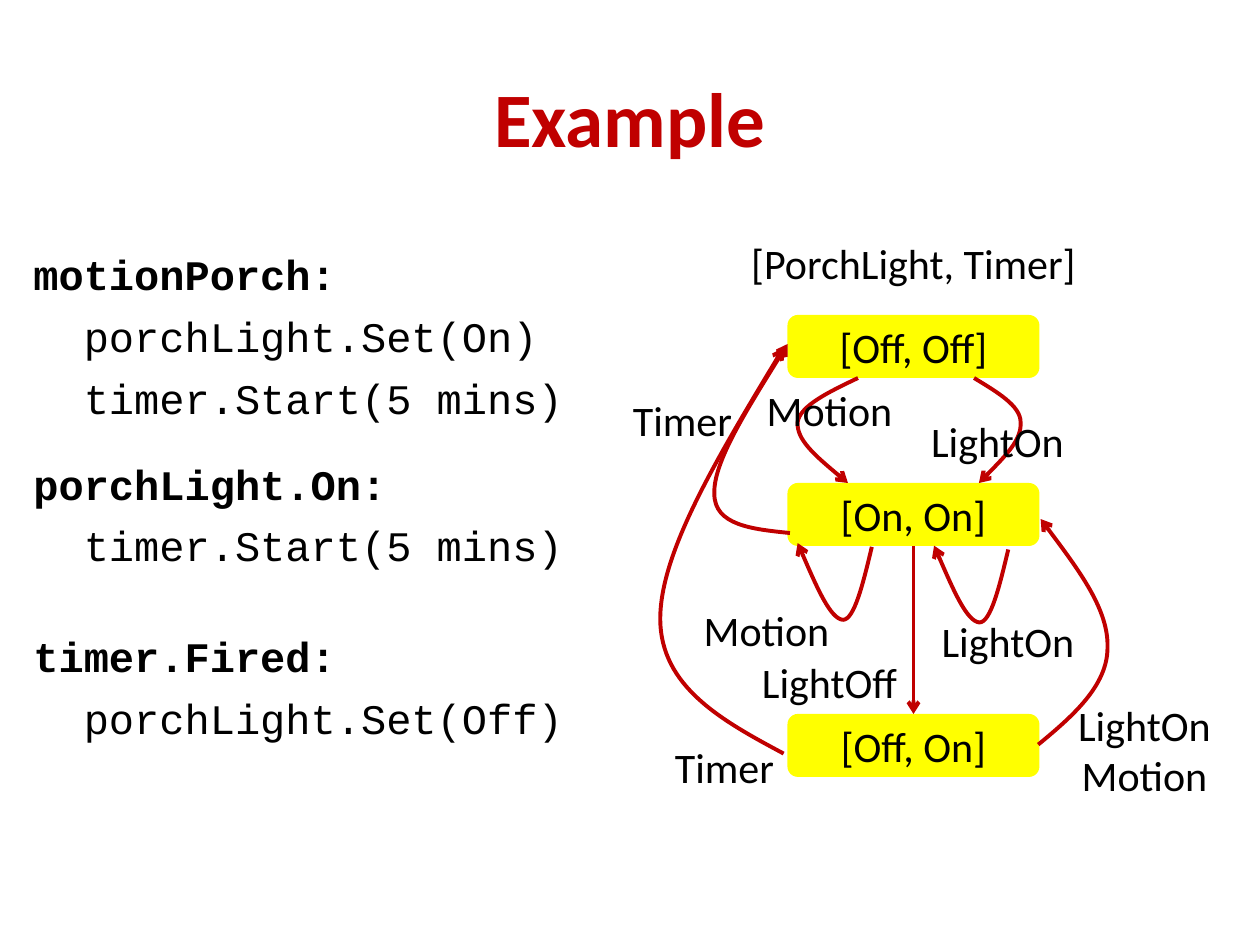
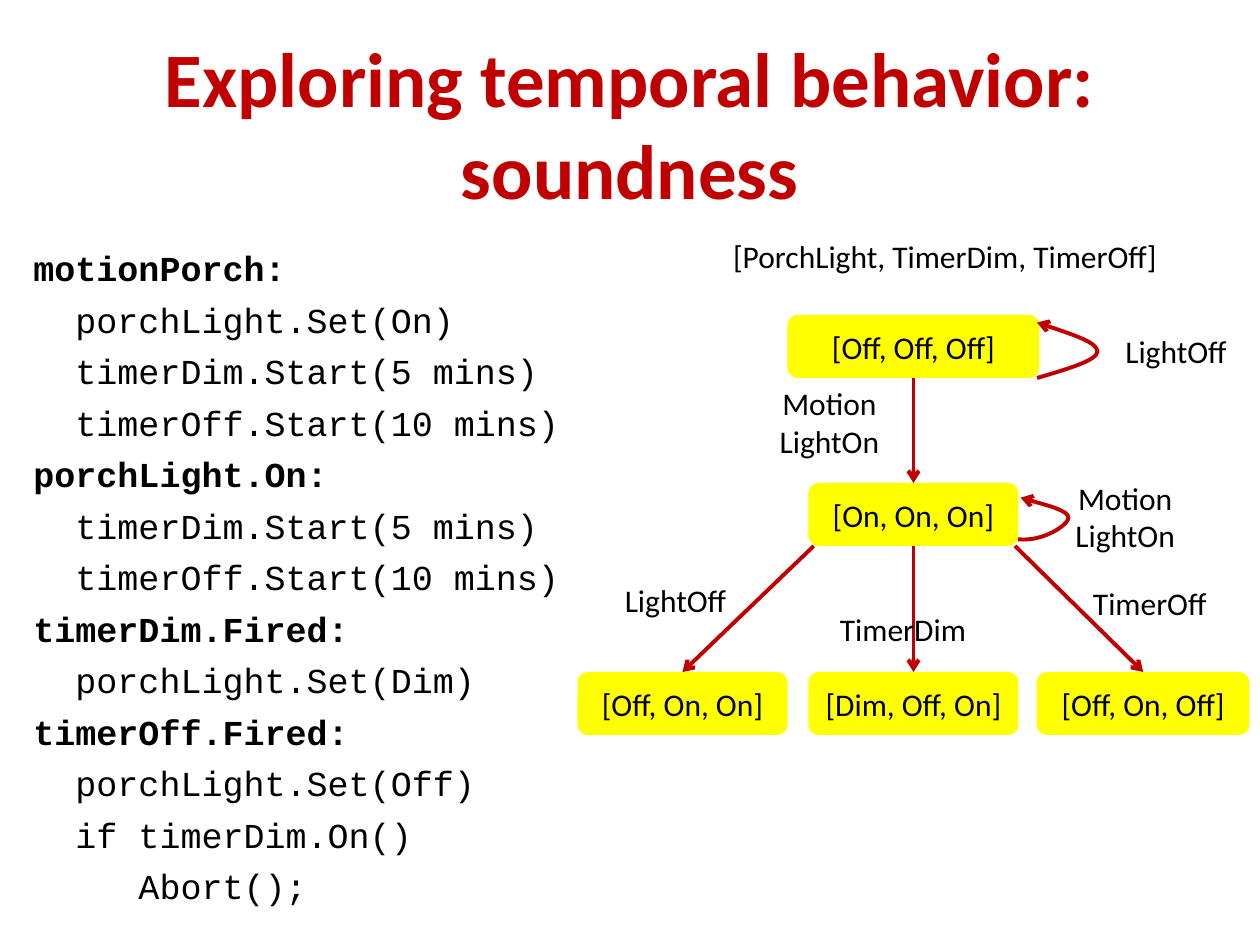
from pptx import Presentation
from pptx.dml.color import RGBColor
from pptx.enum.shapes import MSO_CONNECTOR as Connector, MSO_SHAPE as Shape
from pptx.enum.text import MSO_ANCHOR as Anchor, PP_ALIGN as Align
from pptx.oxml.ns import qn
from pptx.util import Pt
from lxml.etree import SubElement

RED = RGBColor(0xC0, 0x00, 0x00)
YELLOW = RGBColor(0xFF, 0xFF, 0x00)
BLACK = RGBColor(0x00, 0x00, 0x00)
BODY_FONT = "Calibri"
CODE_FONT = "Courier New"
BOTTOM, TOP = 2, 0  # connection sites
DIAGRAM_BOX = (324, 132)  # left, top


# Shared text and line styles
def add_run(paragraph, text, size, color=BLACK, font=BODY_FONT, bold=False):
    run = paragraph.add_run()
    run.text = text
    run.font.name = font
    run.font.size = Pt(size)
    run.font.bold = bold
    run.font.color.rgb = color


def add_text_box(slide, left, top, width, height):
    box = slide.shapes.add_textbox(Pt(left), Pt(top), Pt(width), Pt(height))
    box.text_frame.word_wrap = True
    return box.text_frame


def fill_lines(frame, lines, size, **style):
    """Write centred lines, one paragraph each."""
    for index, line in enumerate(lines):
        paragraph = frame.add_paragraph() if index else frame.paragraphs[0]
        paragraph.alignment = Align.CENTER
        add_run(paragraph, line, size, **style)


def style_arrow(shape):
    shape.line.color.rgb = RED
    shape.line.width = Pt(2.25)
    properties = shape.element.spPr
    SubElement(properties.find(qn("a:ln")), qn("a:tailEnd"), type="arrow")
    if properties.find(qn("a:effectLst")) is None:
        SubElement(properties, qn("a:effectLst"))


# Title and code column
def add_title(slide, text, height):
    frame = add_text_box(slide, 36, 21.6, 648, height)
    frame.vertical_anchor = Anchor.MIDDLE
    fill_lines(frame, [text], 44, color=RED, bold=True)


def add_code(slide, blocks, size, width):
    """Blocks are (gap above, handler name, statements)."""
    spacing = 0.27 * size
    frame = add_text_box(slide, 12, 132 + spacing, width, 380)
    paragraph = None
    for gap, handler, statements in blocks:
        for index, line in enumerate([handler, *statements]):
            if paragraph is None:
                paragraph = frame.paragraphs[0]
            else:
                paragraph = frame.add_paragraph()
                paragraph.space_before = Pt(spacing + (0 if index else gap))
            add_run(paragraph, line, size, font=CODE_FONT, bold=index == 0)


# State diagram parts, placed relative to a diagram box
class Diagram:
    def __init__(self, slide, box, size):
        self.slide = slide
        self.left, self.top = box
        self.size = size

    def place(self, x, y):
        return Pt(self.left + x), Pt(self.top + y)

    def state(self, text, x, y, width):
        shape = self.slide.shapes.add_shape(
            Shape.ROUNDED_RECTANGLE, *self.place(x, y), Pt(width), Pt(36))
        shape.shadow.inherit = False
        shape.fill.solid()
        shape.fill.fore_color.rgb = YELLOW
        shape.line.fill.background()
        frame = shape.text_frame
        frame.margin_left = frame.margin_right = 0
        frame.vertical_anchor = Anchor.MIDDLE
        fill_lines(frame, [text], self.size)
        return shape

    def label(self, x, y, *lines, width=108):
        frame = add_text_box(self.slide, self.left + x, self.top + y,
                             width, len(lines) * self.size * 1.2 + 7.2)
        fill_lines(frame, lines, self.size)

    def arrow(self, source, target, start=None):
        """Join two states; start replaces the middle of the source's side."""
        line = self.slide.shapes.add_connector(
            Connector.STRAIGHT, *self.place(*(start or (0, 0))), *self.place(0, 0))
        if start is None:
            line.begin_connect(source, BOTTOM)
        line.end_connect(target, TOP)
        style_arrow(line)

    def curve(self, *points):
        """Draw a Bezier arrow: a start, then two controls and an end per piece."""
        start, *rest = [self.place(*point) for point in points]
        builder = self.slide.shapes.build_freeform(*start)
        builder.add_line_segments(rest, close=False)
        shape = builder.convert_to_shape()
        shape.shadow.inherit = False
        shape.fill.background()
        style_arrow(shape)
        segments = list(shape.element.iter(qn("a:lnTo")))
        outline = segments[0].getparent()
        for index in range(0, len(segments), 3):
            piece = SubElement(outline, qn("a:cubicBezTo"))
            for segment in segments[index:index + 3]:
                piece.append(segment[0])
                outline.remove(segment)


def add_two_part_diagram(slide, box):
    diagram = Diagram(slide, box, 24)
    diagram.label(60, 0, "[PorchLight, Timer]", width=276)
    diagram.state("[Off, Off]", 126, 48, 144)
    both_on = diagram.state("[On, On]", 126, 144, 144)
    timer_on = diagram.state("[Off, On]", 126, 276, 144)

    # From all off to all on
    diagram.curve((166.3, 84), (149.8, 91.9), (133.2, 99.8), (131.8, 109.2),
                  (131, 119.3), (145.4, 131.5), (160.6, 144))
    diagram.curve((232.6, 84), (245.5, 91.9), (259.2, 99.8), (259.2, 109.2),
                  (259.9, 119.3), (247.7, 131.5), (235.4, 144))
    # Loops below all on
    loop = [(174.2, 180.5), (169.2, 201.4), (164.2, 222.2), (157.7, 222.2),
            (150.5, 221.5), (141.1, 199.9), (131.8, 178.3)]
    for shift_x, shift_y in [(0, 0), (78, 1.5)]:
        diagram.curve(*[(x + shift_x, y + shift_y) for x, y in loop])
    # Timer arrows back to all off
    diagram.curve((127.4, 172.6), (105.8, 170.4), (84.2, 168.2), (84.2, 150.2),
                  (83.5, 132.2), (105.1, 98.4), (126, 64.6))
    diagram.curve((123.8, 298.6), (88.6, 279.8), (53.3, 260.4), (53.3, 221.5),
                  (53.3, 183.4), (88.6, 125), (123.8, 66.7))
    # Light turned off and on again
    diagram.arrow(both_on, timer_on)
    diagram.curve((269.3, 293.5), (289.4, 277), (308.9, 259.7), (308.9, 238.1),
                  (309.6, 216.5), (290.2, 190.6), (270.7, 164.6))

    for x, y, *lines in [
        (96, 84, "Motion"), (192, 102, "LightOn"), (60, 210, "Motion"),
        (198, 216, "LightOn"), (12, 90, "Timer"), (96, 239.5, "LightOff"),
        (276, 264, "LightOn", "Motion"), (36, 288, "Timer"),
    ]:
        diagram.label(x, y, *lines)


def add_three_part_diagram(slide, box):
    diagram = Diagram(slide, box, 18)
    diagram.label(36, 0, "[PorchLight, TimerDim, TimerOff]", width=360)
    all_off = diagram.state("[Off, Off, Off]", 126, 48, 144)
    all_on = diagram.state("[On, On, On]", 138, 144, 120)
    light_off = diagram.state("[Off, On, On]", 6, 252, 120)
    dimmed = diagram.state("[Dim, Off, On]", 138, 252, 120)
    timer_off = diagram.state("[Off, On, Off]", 268.5, 252, 121.5)

    # Transitions between states
    diagram.arrow(all_off, all_on)
    diagram.arrow(all_on, dimmed)
    diagram.arrow(all_on, light_off, start=(141, 180))
    diagram.arrow(all_on, timer_off, start=(256, 180))
    # Loops at the right
    diagram.curve((268.6, 84), (285.8, 79), (303.1, 73.9), (303.1, 68.9),
                  (303.1, 63.8), (285.8, 58.1), (268.6, 52.3))
    diagram.curve((257.8, 176.2), (272.9, 177.6), (286.6, 167.5), (286.6, 163.9),
                  (286.6, 159.6), (259.2, 152.4), (259.2, 152.4))

    for x, y, *lines in [
        (294, 54, "LightOff"), (96, 84, "Motion", "LightOn"),
        (279, 198, "TimerOff"), (8, 196.5, "LightOff"),
        (265, 138, "Motion", "LightOn"), (138, 213, "TimerDim"),
    ]:
        diagram.label(x, y, *lines)


# Slides
def build_example(slide):
    add_title(slide, "Example", 90)
    add_code(slide, [
        (0, "motionPorch:", ["  porchLight.Set(On)", "  timer.Start(5 mins)"]),
        (14, "porchLight.On:", ["  timer.Start(5 mins)"]),
        (28, "timer.Fired:", ["  porchLight.Set(Off)"]),
    ], 24, 366)
    add_two_part_diagram(slide, DIAGRAM_BOX)


def build_soundness(slide):
    add_title(slide, "Exploring temporal behavior: soundness", 97)
    starts = ["  timerDim.Start(5 mins)", "  timerOff.Start(10 mins)"]
    add_code(slide, [
        (0, "motionPorch:", ["  porchLight.Set(On)", *starts]),
        (0, "porchLight.On:", starts),
        (0, "timerDim.Fired:", ["  porchLight.Set(Dim)"]),
        (0, "timerOff.Fired:", ["  porchLight.Set(Off)", "  if timerDim.On()",
                                "     Abort();"]),
    ], 20, 348)
    add_three_part_diagram(slide, DIAGRAM_BOX)


def main():
    presentation = Presentation()
    presentation.slide_width = Pt(720)
    presentation.slide_height = Pt(540)
    blank = presentation.slide_layouts[6]
    for build in (build_example, build_soundness):
        build(presentation.slides.add_slide(blank))
    presentation.save("out.pptx")


if __name__ == "__main__":
    main()
